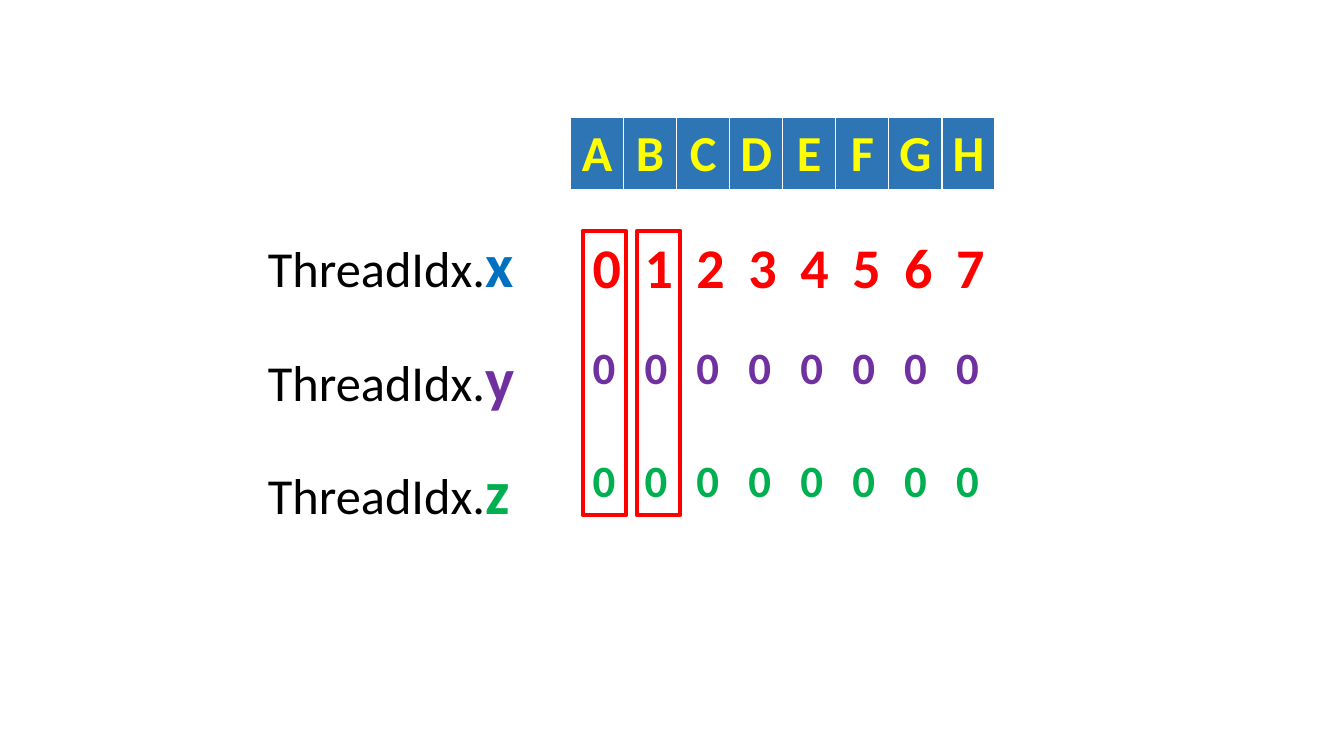
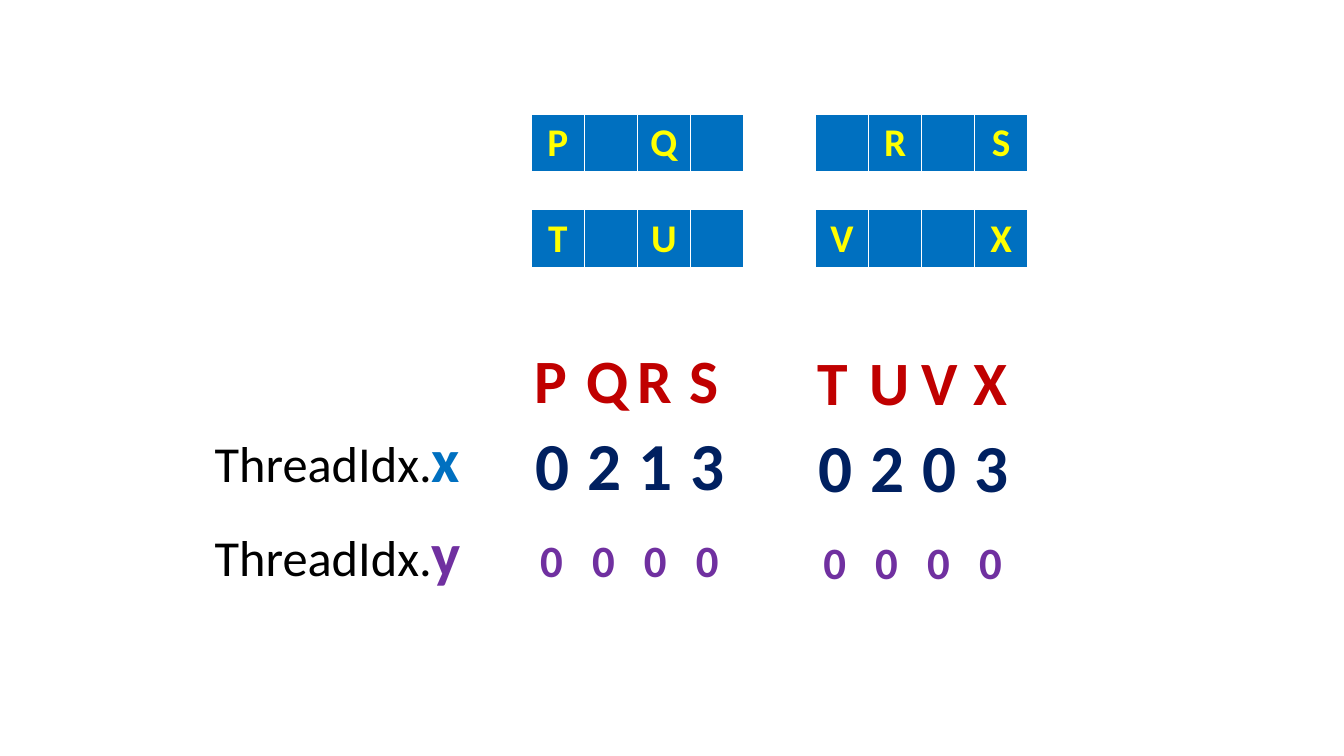
from dataclasses import dataclass

from pptx import Presentation
from pptx.dml.color import RGBColor
from pptx.enum.shapes import MSO_SHAPE
from pptx.enum.text import MSO_ANCHOR, MSO_AUTO_SIZE, PP_ALIGN
from pptx.slide import Slide
from pptx.text.text import TextFrame, _Paragraph
from pptx.util import Pt

RECTANGLE = MSO_SHAPE.RECTANGLE
MIDDLE = MSO_ANCHOR.MIDDLE
GROW = MSO_AUTO_SIZE.SHAPE_TO_FIT_TEXT
LEFT = PP_ALIGN.LEFT
CENTER = PP_ALIGN.CENTER

BLACK = RGBColor(0x00, 0x00, 0x00)
YELLOW = RGBColor(0xFF, 0xFF, 0x00)
STEEL_BLUE = RGBColor(0x2E, 0x75, 0xB6)
BLUE = RGBColor(0x00, 0x70, 0xC0)
NAVY = RGBColor(0x00, 0x20, 0x60)
RED = RGBColor(0xFF, 0x00, 0x00)
DARK_RED = RGBColor(0xC0, 0x00, 0x00)
PURPLE = RGBColor(0x70, 0x30, 0xA0)
GREEN = RGBColor(0x00, 0xB0, 0x50)

FONT = "Calibri"
BLANK_LAYOUT = 6
CELL_WIDTH = 37.9
INDEX_WIDTH = 25.2
INDEX_PITCH = 37.1
LABEL_WIDTH = 209.5
LABEL_PREFIX = "ThreadIdx."
LABEL_SIZE = 36
AXIS_SIZE = 44
AXIS_COLORS = {"x": BLUE, "y": PURPLE, "z": GREEN}


@dataclass(frozen=True)
class DataArray:
    letters: str
    left: float
    top: float
    height: float
    size: float
    fill: RGBColor


@dataclass(frozen=True)
class AxisLabel:
    axis: str
    left: float
    top: float


@dataclass(frozen=True)
class IndexRow:
    values: str
    left: float
    top: float
    size: float
    color: RGBColor


@dataclass(frozen=True)
class Frame:
    left: float
    top: float
    width: float
    height: float


def write_text(
    paragraph: _Paragraph,
    text: str,
    *,
    size: float,
    color: RGBColor,
    bold: bool = True,
    align: PP_ALIGN = LEFT,
) -> None:
    paragraph.alignment = align
    run = paragraph.add_run()
    run.text = text
    run.font.name = FONT
    run.font.size = Pt(size)
    run.font.bold = bold
    run.font.color.rgb = color


def add_text_frame(
    slide: Slide, left: float, top: float, width: float, size: float
) -> TextFrame:
    height = size * 1.2 + 7.2
    box = slide.shapes.add_textbox(Pt(left), Pt(top), Pt(width), Pt(height))
    box.text_frame.word_wrap = True
    box.text_frame.auto_size = GROW
    return box.text_frame


def draw_array(slide: Slide, array: DataArray) -> None:
    count = len(array.letters)
    table = slide.shapes.add_table(
        1, count, Pt(array.left), Pt(array.top),
        Pt(CELL_WIDTH * count), Pt(array.height),
    ).table
    for column, letter in enumerate(array.letters):
        table.columns[column].width = Pt(CELL_WIDTH)
        cell = table.cell(0, column)
        cell.fill.solid()
        cell.fill.fore_color.rgb = array.fill
        cell.vertical_anchor = MIDDLE
        if letter != " ":
            write_text(
                cell.text_frame.paragraphs[0], letter,
                size=array.size, color=YELLOW, align=CENTER,
            )


def draw_label(slide: Slide, label: AxisLabel) -> None:
    frame = add_text_frame(slide, label.left, label.top, LABEL_WIDTH, AXIS_SIZE)
    paragraph = frame.paragraphs[0]
    write_text(paragraph, LABEL_PREFIX, size=LABEL_SIZE, color=BLACK, bold=False)
    write_text(paragraph, label.axis, size=AXIS_SIZE, color=AXIS_COLORS[label.axis])


def draw_index_row(slide: Slide, row: IndexRow) -> None:
    for position, value in enumerate(row.values):
        left = row.left + position * INDEX_PITCH
        frame = add_text_frame(slide, left, row.top, INDEX_WIDTH, row.size)
        write_text(frame.paragraphs[0], value, size=row.size, color=row.color)


def draw_frame(slide: Slide, frame: Frame) -> None:
    shape = slide.shapes.add_shape(
        RECTANGLE, Pt(frame.left), Pt(frame.top), Pt(frame.width), Pt(frame.height)
    )
    shape.shadow.inherit = False
    shape.fill.background()
    shape.line.color.rgb = RED
    shape.line.width = Pt(3)


def build_dense_slide(slide: Slide) -> None:
    draw_array(slide, DataArray("ABCDEFGH", 407.5, 84.2, 50.4, 36, STEEL_BLUE))
    for axis, top in (("x", 157.7), ("y", 239), ("z", 319.7)):
        draw_label(slide, AxisLabel(axis, 184.3, top))
    for row in (
        IndexRow("01234567", 416.2, 162.7, 40, RED),
        IndexRow("0" * 8, 416.2, 239, 32, PURPLE),
        IndexRow("0" * 8, 416.2, 319.7, 32, GREEN),
    ):
        draw_index_row(slide, row)
    for left in (416.2, 455):
        draw_frame(slide, Frame(left, 164.9, 31, 203))


def build_sparse_slide(slide: Slide) -> None:
    for top, pair in ((81.4, ("P Q ", " R S")), (149.8, ("T U ", "V  X"))):
        for left, letters in zip((379.4, 582.5), pair):
            draw_array(slide, DataArray(letters, left, top, 41, 28, BLUE))
    for axis, top in (("x", 297.4), ("y", 364.3)):
        draw_label(slide, AxisLabel(axis, 146.2, top))
    for shift, drop, letters, indices in (
        (0, 0, "PQRS", "0213"),
        (202.3, 1.4, "TUVX", "0203"),
    ):
        for row in (
            IndexRow(letters, 374.4 + shift, 240.5 + drop, 44, DARK_RED),
            IndexRow(indices, 375.1 + shift, 298.8 + drop, 48, NAVY),
            IndexRow("0" * 4, 378.7 + shift, 377.3 + drop, 32, PURPLE),
        ):
            draw_index_row(slide, row)


def main() -> None:
    presentation = Presentation()
    presentation.slide_width = Pt(960)
    presentation.slide_height = Pt(540)
    for build in (build_dense_slide, build_sparse_slide):
        build(presentation.slides.add_slide(presentation.slide_layouts[BLANK_LAYOUT]))
    presentation.save("out.pptx")


main()
